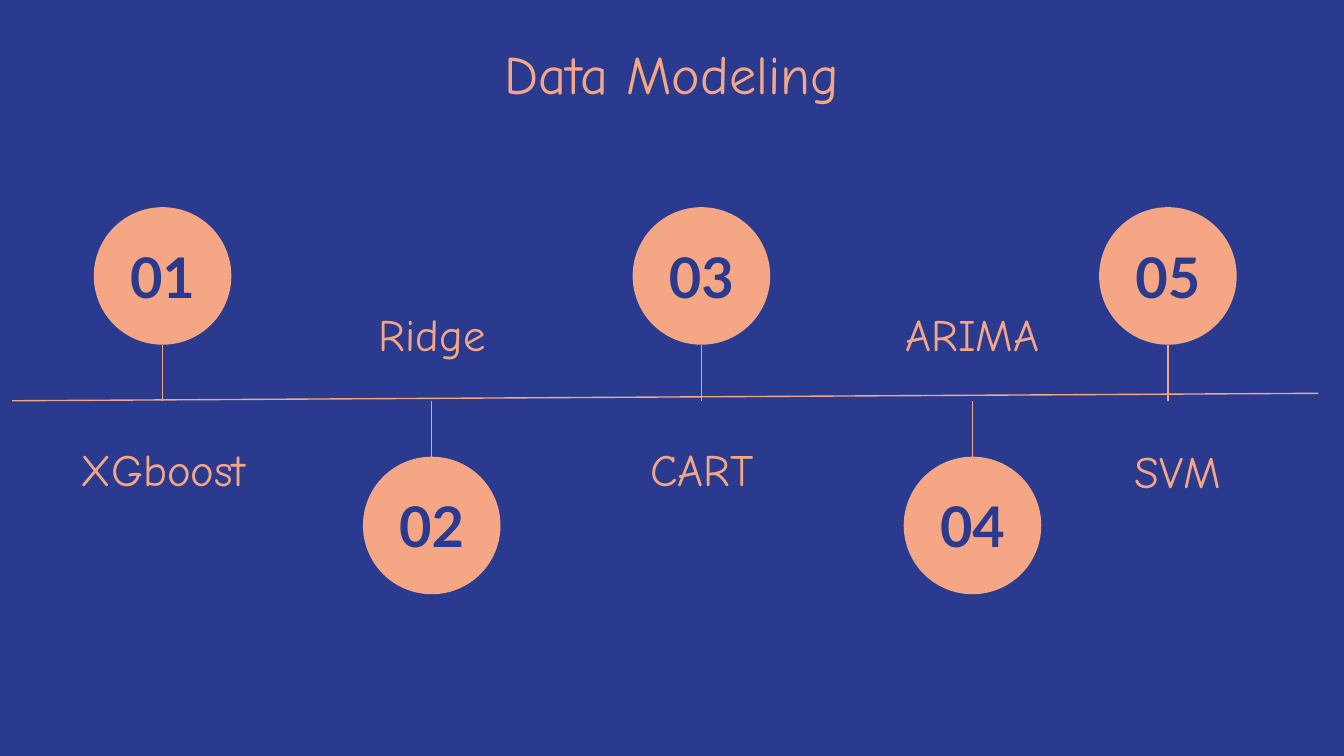
from lxml import etree
from pptx import Presentation
from pptx.dml.color import RGBColor
from pptx.enum.shapes import MSO_CONNECTOR, MSO_SHAPE
from pptx.enum.text import MSO_ANCHOR, PP_ALIGN
from pptx.oxml.ns import qn
from pptx.util import Pt

BLUE = RGBColor(0x29, 0x3A, 0x8F)
PEACH = RGBColor(0xF5, 0xA7, 0x85)

STRAIGHT = MSO_CONNECTOR.STRAIGHT
OVAL = MSO_SHAPE.OVAL
CENTER = PP_ALIGN.CENTER
TOP, MIDDLE, BOTTOM = MSO_ANCHOR.TOP, MSO_ANCHOR.MIDDLE, MSO_ANCHOR.BOTTOM

TITLE_FONT = {"name": "Comic Neue", "size": Pt(29)}
LABEL_FONT = {"name": "Comic Neue", "size": Pt(24)}
NUMBER_FONT = {"name": "Lato", "size": Pt(30), "bold": True}

DIAMETER = 73.7
AXIS_Y = 214.7
STEM = 30
BOX_HEIGHT = 33.8
LABEL_WIDTH = 123
NUMBER_WIDTH = 52.6

# Name, circle centre x, circle above the axis, label centre x, label top, anchor
MODELS = [
    ("XGboost", 87.1, True, 87.4, 239, BOTTOM),
    ("Ridge", 231.3, False, 231.5, 157, TOP),
    ("CART", 375.8, True, 376.2, 239, BOTTOM),
    ("ARIMA", 521, False, 521, 157, TOP),
    ("SVM", 625.7, True, 631.1, 230.4, TOP),
]


def add_text(slide, text, left, top, width, height, font, color, anchor=TOP):
    shape = slide.shapes.add_textbox(Pt(left), Pt(top), Pt(width), Pt(height))
    frame = shape.text_frame
    frame_format = {"word_wrap": True, "vertical_anchor": anchor}
    for side in ("left", "top", "right", "bottom"):
        frame_format[f"margin_{side}"] = Pt(7.2)
    for name, value in frame_format.items():
        setattr(frame, name, value)
    paragraph = frame.paragraphs[0]
    paragraph.alignment = CENTER
    run = paragraph.add_run()
    run.text = text
    for name, value in font.items():
        setattr(run.font, name, value)
    run.font.color.rgb = color


def add_line(slide, start_x, start_y, end_x, end_y):
    line = slide.shapes.add_connector(
        STRAIGHT, Pt(start_x), Pt(start_y), Pt(end_x), Pt(end_y))
    line.line.color.rgb = PEACH
    line.line.width = Pt(0.75)
    etree.SubElement(line._element.spPr, qn("a:effectLst"))


def add_circle(slide, center_x, center_y):
    circle = slide.shapes.add_shape(
        OVAL, Pt(center_x - DIAMETER / 2), Pt(center_y - DIAMETER / 2),
        Pt(DIAMETER), Pt(DIAMETER))
    circle.shadow.inherit = False
    circle.fill.solid()
    circle.fill.fore_color.rgb = PEACH
    circle.line.fill.background()


def add_milestone(slide, number, center_x, above):
    direction = -1 if above else 1
    circle_edge = AXIS_Y + direction * STEM
    center_y = circle_edge + direction * DIAMETER / 2
    add_circle(slide, center_x, center_y)
    add_line(slide, center_x, min(circle_edge, AXIS_Y),
             center_x, max(circle_edge, AXIS_Y))
    add_text(slide, f"{number:02d}", center_x - NUMBER_WIDTH / 2,
             center_y - BOX_HEIGHT / 2, NUMBER_WIDTH, BOX_HEIGHT,
             NUMBER_FONT, BLUE, MIDDLE)


def main():
    presentation = Presentation()
    presentation.slide_width = Pt(720)
    presentation.slide_height = Pt(405)
    slide = presentation.slides.add_slide(presentation.slide_layouts[6])
    slide.background.fill.solid()
    slide.background.fill.fore_color.rgb = BLUE

    # Title and axis
    add_text(slide, "Data Modeling", 28.1, 14.4, 663.8, 59.8, TITLE_FONT, PEACH)
    add_line(slide, 6.5, AXIS_Y, 706.3, 210.7)

    # Numbered models along the axis
    for number, model in enumerate(MODELS, start=1):
        name, center_x, above, label_x, label_top, anchor = model
        add_milestone(slide, number, center_x, above)
        add_text(slide, name, label_x - LABEL_WIDTH / 2, label_top,
                 LABEL_WIDTH, BOX_HEIGHT, LABEL_FONT, PEACH, anchor)

    presentation.save("out.pptx")


if __name__ == "__main__":
    main()
